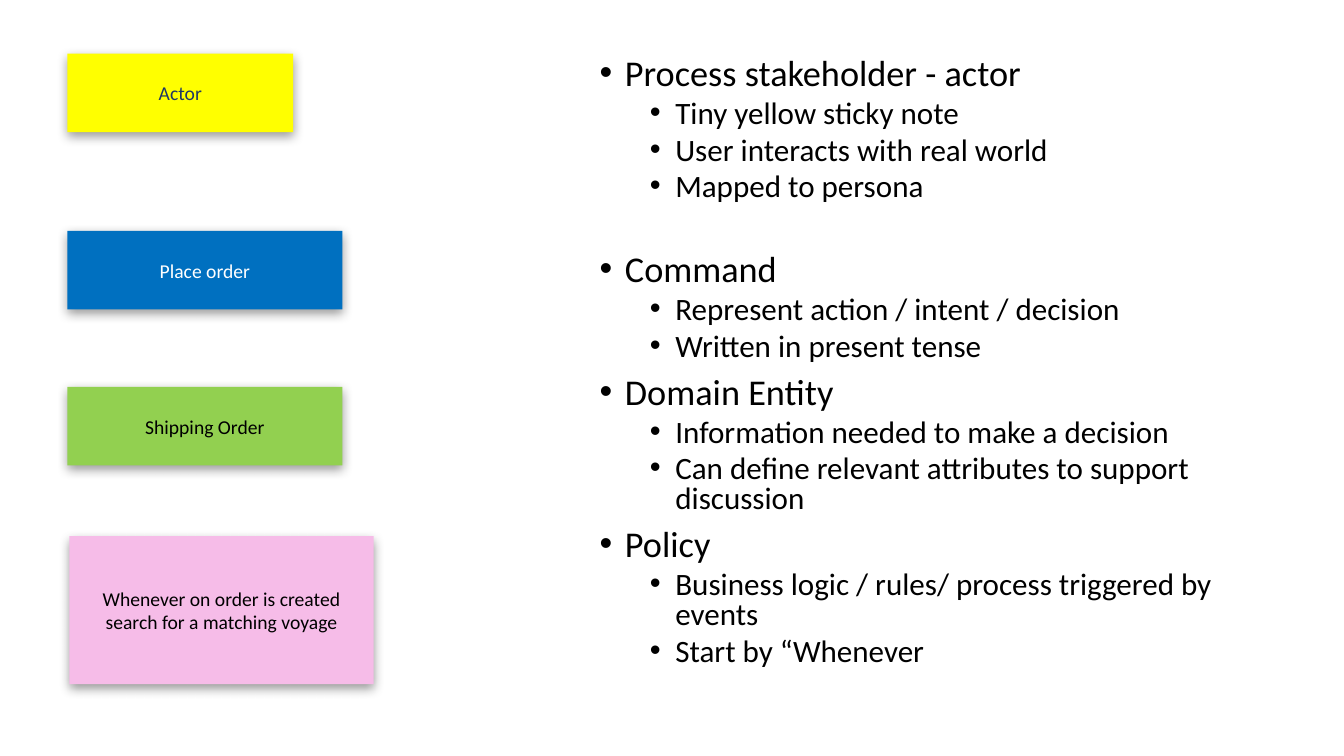
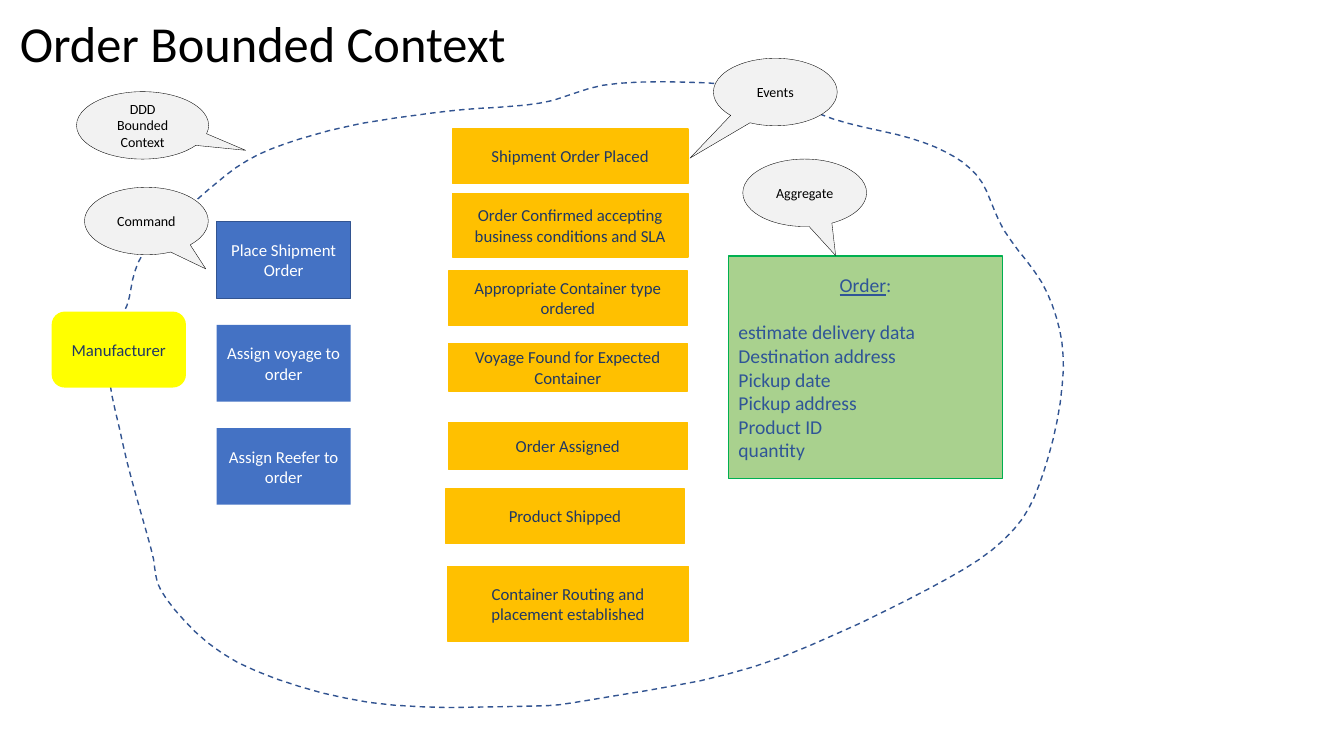
from lxml import etree
from pptx import Presentation
from pptx.dml.color import RGBColor
from pptx.enum.dml import MSO_LINE
from pptx.enum.shapes import MSO_SHAPE
from pptx.enum.text import MSO_ANCHOR, PP_ALIGN
from pptx.oxml.ns import qn
from pptx.util import Cm, Pt

RECTANGLE = MSO_SHAPE.RECTANGLE
ROUNDED = MSO_SHAPE.ROUNDED_RECTANGLE
CALLOUT = MSO_SHAPE.OVAL_CALLOUT
CENTER, LEFT = PP_ALIGN.CENTER, PP_ALIGN.LEFT
MIDDLE = MSO_ANCHOR.MIDDLE
DASH = MSO_LINE.DASH

FONT = "Calibri"
BLACK, WHITE, GREY = "000000", "FFFFFF", "F2F2F2"
NAVY, DARK_BLUE, MID_BLUE, BLUE, BRIGHT_BLUE = "203864", "325491", "2F5597", "4472C4", "0070C0"
YELLOW, ORANGE, PINK = "FFFF00", "FFC000", "F6BCE8"
LIME, LIGHT_GREEN, GREEN = "92D050", "A9D18E", "00B050"


def add_run(paragraph, text, size, color):
    run = paragraph.add_run()
    run.text = text
    run.font.name = FONT
    run.font.size = Pt(size)
    run.font.color.rgb = RGBColor.from_string(color)
    return run


def add_box(slide, kind, place, fill, line=None, line_width=1, text="", size=12, color=NAVY):
    """Add a filled shape with centred text; place is left, top, width, height in cm."""
    shape = slide.shapes.add_shape(kind, *[Cm(length) for length in place])
    shape.shadow.inherit = False
    shape.fill.solid()
    shape.fill.fore_color.rgb = RGBColor.from_string(fill)
    if line:
        shape.line.color.rgb = RGBColor.from_string(line)
        shape.line.width = Pt(line_width)
    else:
        shape.line.fill.background()
    shape.text_frame.word_wrap = True
    if text:
        paragraph = shape.text_frame.paragraphs[0]
        paragraph.alignment = CENTER
        add_run(paragraph, text, size, color)
    return shape


presentation = Presentation()
presentation.slide_width = Cm(33.87)
presentation.slide_height = Cm(19.05)
blank = presentation.slide_layouts[6]

# Slide 1: sticky notes and their meaning
slide = presentation.slides.add_slide(blank)

sticky_notes = [
    ("Actor", (1.7, 1.35, 5.69, 1.98), YELLOW, NAVY),
    ("Place order", (1.7, 5.82, 6.93, 1.98), BRIGHT_BLUE, WHITE),
    ("Shipping Order", (1.7, 9.75, 6.93, 1.98), LIME, BLACK),
    ("Whenever on order is created search for a matching voyage",
     (1.75, 13.51, 7.67, 3.73), PINK, BLACK),
]
for text, place, fill, color in sticky_notes:
    note = add_box(slide, RECTANGLE, place, fill, text=text, size=14, color=color)
    effects = note._element.spPr.find(qn("a:effectLst"))
    shadow = etree.SubElement(effects, qn("a:outerShdw"), blurRad=str(Pt(8)),
                              dist=str(Pt(3)), dir="5400000", rotWithShape="0")
    shadow_color = etree.SubElement(shadow, qn("a:srgbClr"), val=BLACK)
    etree.SubElement(shadow_color, qn("a:alpha"), val="40000")

# Each topic: heading, space before it in points, details
topics = [
    ("Process stakeholder - actor", 10,
     ["Tiny yellow sticky note", "User interacts with real world", "Mapped to persona"]),
    ("Command", 36.5, ["Represent action / intent / decision", "Written in present tense"]),
    ("Domain Entity", 10,
     ["Information needed to make a decision",
      "Can define relevant attributes to support discussion"]),
    ("Policy", 10,
     ["Business logic / rules/ process triggered by events", "Start by “Whenever"]),
]
bullets = []
for heading, space, details in topics:
    bullets.append((heading, 0, space, 25.9))
    bullets += [(detail, 1, 5, 22.2) for detail in details]

HANGING, LEVEL_STEP = 0.64, 1.27
body = slide.shapes.add_textbox(Cm(14.86), Cm(1.35), Cm(17.27), Cm(15.9)).text_frame
body.word_wrap = True
for index, (text, level, space, size) in enumerate(bullets):
    paragraph = body.add_paragraph() if index else body.paragraphs[0]
    paragraph.level = level
    paragraph.line_spacing = 0.8
    paragraph.space_before = Pt(space)
    properties = paragraph._p.get_or_add_pPr()
    properties.set("marL", str(Cm(HANGING + LEVEL_STEP * level)))
    properties.set("indent", str(-Cm(HANGING)))
    etree.SubElement(properties, qn("a:buFont"), typeface="Arial")
    etree.SubElement(properties, qn("a:buChar"), char="•")
    add_run(paragraph, text, size, BLACK)

# Slide 2: order bounded context
slide = presentation.slides.add_slide(blank)

title = slide.shapes.add_textbox(Cm(0.25), Cm(0.61), Cm(29.21), Cm(1.09)).text_frame
title.word_wrap = True
title.vertical_anchor = MIDDLE
title.paragraphs[0].line_spacing = 0.9
add_run(title.paragraphs[0], "Order Bounded Context", 36, BLACK)

events = [
    ("Shipment Order Placed", (11.4, 3.25, 5.94, 1.37)),
    ("Order Confirmed accepting business conditions and SLA", (11.4, 4.88, 5.94, 1.6)),
    ("Appropriate Container type ordered", (11.3, 6.83, 6.02, 1.37)),
    ("Voyage Found for Expected Container", (11.3, 8.66, 6.02, 1.19)),
    ("Order Assigned", (11.3, 10.64, 6.02, 1.19)),
    ("Product Shipped", (11.23, 12.32, 6.02, 1.37)),
    ("Container Routing and placement established", (11.28, 14.27, 6.07, 1.88)),
]
for text, place in events:
    add_box(slide, RECTANGLE, place, ORANGE, ORANGE, text=text)

order_box = add_box(slide, RECTANGLE, (18.36, 6.45, 6.91, 5.61), LIGHT_GREEN, GREEN)
order_text = order_box.text_frame
heading = order_text.paragraphs[0]
heading.alignment = CENTER
heading.space_after = Pt(17)
add_run(heading, "Order", 14, MID_BLUE).font.underline = True
add_run(heading, ":", 14, MID_BLUE)
for attribute in ["estimate delivery data", "Destination address", "Pickup date",
                  "Pickup address", "Product ID", "quantity"]:
    paragraph = order_text.add_paragraph()
    paragraph.alignment = LEFT
    add_run(paragraph, attribute, 14, MID_BLUE)

# The boundary is a closed Catmull-Rom curve through a few anchors, in cm
top_anchors = [(3.6, 6.4), (5, 5), (6.5, 3.9), (8.7, 3.2), (11.3, 2.8), (13.6, 2.6),
               (15.6, 2.1), (18.9, 2.2), (21, 3), (23.3, 3.6)]
right_anchors = [(24.6, 4.4), (25.3, 5.8), (26.4, 7.4), (26.8, 9.3), (26.3, 11.9), (25.3, 13.6)]
bottom_anchors = [(22.9, 15.1), (19, 16.8), (15.1, 17.6), (13.1, 17.8), (9.3, 17.7), (6, 16.7)]
left_anchors = [(4.2, 15.1), (3.8, 13.8), (3.1, 11.2), (2.7, 8.9), (3.2, 7.7)]
anchors = top_anchors + right_anchors + bottom_anchors + left_anchors

STEPS = 6
UNITS_PER_CM = 100
curve = []
for index, current in enumerate(anchors):
    previous = anchors[index - 1]
    following = anchors[(index + 1) % len(anchors)]
    after = anchors[(index + 2) % len(anchors)]
    for step in range(STEPS):
        t = step / STEPS
        point = [
            b + t * (c - a) / 2 + t**2 * (2 * a - 5 * b + 4 * c - d) / 2
            + t**3 * (3 * b - a - 3 * c + d) / 2
            for a, b, c, d in zip(previous, current, following, after)
        ]
        curve.append([round(length * UNITS_PER_CM) for length in point])

builder = slide.shapes.build_freeform(*curve[0], scale=Cm(1) / UNITS_PER_CM)
builder.add_line_segments(curve[1:], close=True)
boundary = builder.convert_to_shape()
boundary.shadow.inherit = False
boundary.fill.background()
boundary.line.color.rgb = RGBColor.from_string(DARK_BLUE)
boundary.line.width = Pt(1)
boundary.line.dash_style = DASH

COMMAND_TOP, COMMAND_PITCH = 5.59, 2.6
commands = [("Place Shipment Order", DARK_BLUE), ("Assign voyage to order", None),
            ("Assign Reefer to order", None)]
for index, (text, line) in enumerate(commands):
    place = (5.46, COMMAND_TOP + COMMAND_PITCH * index, 3.38, 1.93)
    add_box(slide, RECTANGLE, place, BLUE, line, text=text, color=WHITE)

add_box(slide, ROUNDED, (1.32, 7.87, 3.35, 1.88), YELLOW, YELLOW, text="Manufacturer")

# Each callout: text, left, top, width, pointer offset as a share of its size
CALLOUT_HEIGHT = 1.7
callouts = [
    ("Aggregate", 18.72, 4.01, 3.12, (0.25, 0.93)),
    ("Events", 17.98, 1.47, 3.12, (-0.69, 0.98)),
    ("DDD Bounded Context", 1.93, 2.31, 3.33, (0.78, 0.37)),
    ("Command", 2.13, 4.72, 3.12, (0.48, 0.71)),
]
for text, left, top, width, pointer in callouts:
    callout = add_box(slide, CALLOUT, (left, top, width, CALLOUT_HEIGHT), GREY, BLACK, 0.25,
                      text=text, size=10, color=BLACK)
    callout.adjustments[0], callout.adjustments[1] = pointer

presentation.save("out.pptx")
